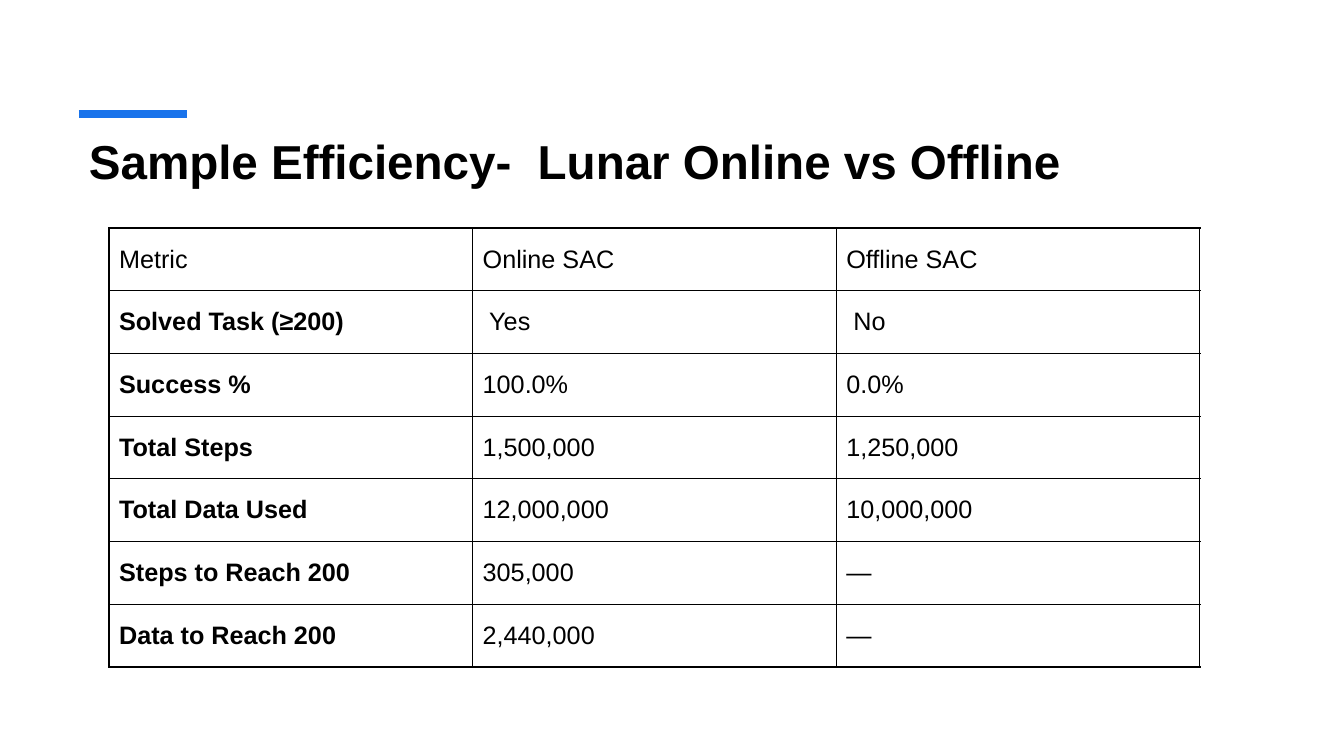
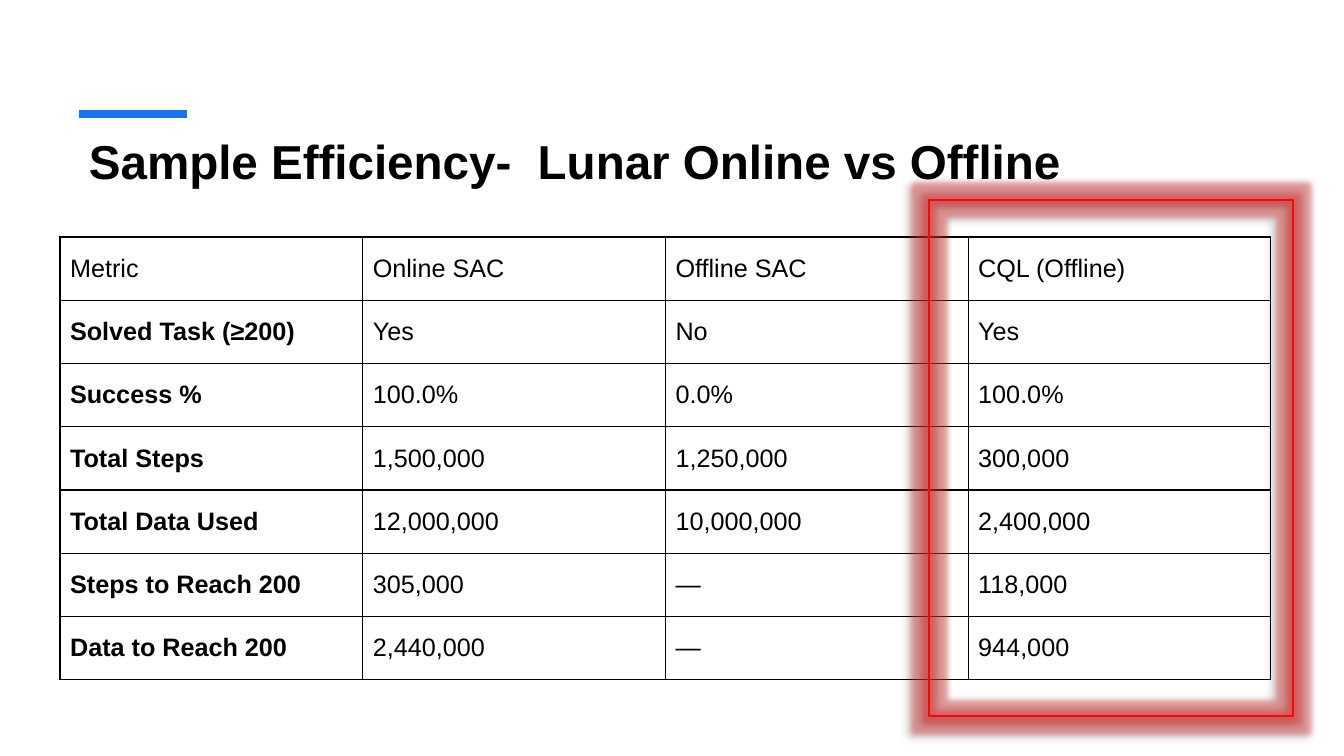
from dataclasses import dataclass

from lxml import etree
from pptx import Presentation
from pptx.dml.color import RGBColor
from pptx.enum.shapes import MSO_CONNECTOR, MSO_SHAPE
from pptx.enum.text import MSO_ANCHOR
from pptx.oxml import parse_xml
from pptx.oxml.ns import qn
from pptx.util import Pt

LINE = MSO_CONNECTOR.STRAIGHT
RECT = MSO_SHAPE.RECTANGLE
MID = MSO_ANCHOR.MIDDLE

PX = 914400 / 100.8
FONT = "Arial"
TITLE = "Sample Efficiency-  Lunar Online vs Offline"
COLORS = {
    "ink": "000000",
    "paper": "FFFFFF",
    "accent": "1973EB",
    "frame": "FD0505",
    "glow": "D92B2B",
}
NS = 'xmlns:a="http://schemas.openxmlformats.org/drawingml/2006/main"'

# Table columns, each with its heading first
METRIC = ("Metric", "Solved Task (≥200)", "Success %", "Total Steps",
          "Total Data Used", "Steps to Reach 200", "Data to Reach 200")
ONLINE = ("Online SAC", "Yes", "100.0%", "1,500,000", "12,000,000", "305,000", "2,440,000")
OFFLINE = ("Offline SAC", "No", "0.0%", "1,250,000", "10,000,000", "—", "—")
CQL = ("CQL (Offline)", "Yes", "100.0%", "300,000", "2,400,000", "118,000", "944,000")


@dataclass(frozen=True)
class Box:
    left: int
    top: int
    width: int
    height: int

    def emu(self) -> tuple[int, ...]:
        return tuple(px(n) for n in (self.left, self.top, self.width, self.height))


@dataclass(frozen=True)
class Page:
    grid: Box
    cols: tuple[tuple[str, ...], ...]
    lead: str = ""  # set before the answers in the "Solved Task" row
    frame: Box | None = None


PAGES = (
    Page(Box(109, 228, 1091, 439), (METRIC, ONLINE, OFFLINE), lead=" "),
    Page(Box(60, 237, 1211, 443), (METRIC, ONLINE, OFFLINE, CQL),
         frame=Box(929, 200, 364, 516)),
)


def px(count: int) -> int:
    return round(count * PX)


def color(name: str) -> RGBColor:
    return RGBColor.from_string(COLORS[name])


def write(frame, text: str, size: int = 18, bold: bool = False,
          space: float | None = None) -> None:
    frame.word_wrap = True
    par = frame.paragraphs[0]
    par.line_spacing = space
    run = par.add_run()
    run.text = text
    run.font.name = FONT
    run.font.size = Pt(size)
    run.font.bold = bold
    run.font.color.rgb = color("ink")


# Title and the accent bar above it
def head(slide) -> None:
    slide.background.fill.solid()
    slide.background.fill.fore_color.rgb = color("paper")
    title = slide.shapes.add_textbox(*Box(79, 129, 1236, 71).emu())
    title.text_frame.vertical_anchor = MID
    write(title.text_frame, TITLE, size=34, bold=True, space=0.9)
    bar = slide.shapes.add_connector(LINE, px(79), px(114), px(187), px(114))
    bar.line.color.rgb = color("accent")
    bar.line.width = Pt(6)
    etree.SubElement(bar._element.spPr, qn("a:effectLst"))


def border(cell) -> None:
    props = cell._tc.get_or_add_tcPr()
    for side in ("lnL", "lnR", "lnT", "lnB"):
        props.append(parse_xml(
            f'<a:{side} {NS} w="{Pt(1)}"><a:solidFill>'
            f'<a:srgbClr val="{COLORS["ink"]}"/></a:solidFill></a:{side}>'))


# Table with equal columns and equal rows
def grid(slide, page: Page) -> None:
    rows = len(METRIC)
    table = slide.shapes.add_table(rows, len(page.cols), *page.grid.emu()).table
    table.first_row = False
    table.horz_banding = False
    for c, col in enumerate(page.cols):
        for r, text in enumerate(col):
            cell = table.cell(r, c)
            border(cell)
            cell.fill.background()
            cell.vertical_anchor = MID
            lead = page.lead if r == 1 and c > 0 else ""
            write(cell.text_frame, lead + text, bold=c == 0 and r > 0)


# Glowing outline around the last column
def mark(slide, box: Box) -> None:
    shape = slide.shapes.add_shape(RECT, *box.emu())
    shape.fill.background()
    shape.line.color.rgb = color("frame")
    shape.line.width = Pt(1.5)
    shape._element.spPr.append(parse_xml(
        f'<a:effectLst {NS}><a:glow rad="{Pt(8)}">'
        f'<a:srgbClr val="{COLORS["glow"]}"><a:alpha val="40000"/></a:srgbClr></a:glow>'
        f'<a:outerShdw blurRad="{Pt(4)}" dist="{Pt(3)}" dir="8100000" algn="tr" '
        f'rotWithShape="0"><a:srgbClr val="{COLORS["ink"]}"><a:alpha val="40000"/>'
        '</a:srgbClr></a:outerShdw></a:effectLst>'))


def main() -> None:
    deck = Presentation()
    deck.slide_width = px(1344)
    deck.slide_height = px(756)
    for page in PAGES:
        slide = deck.slides.add_slide(deck.slide_layouts[6])
        head(slide)
        grid(slide, page)
        if page.frame:
            mark(slide, page.frame)
    deck.save("out.pptx")


if __name__ == "__main__":
    main()
